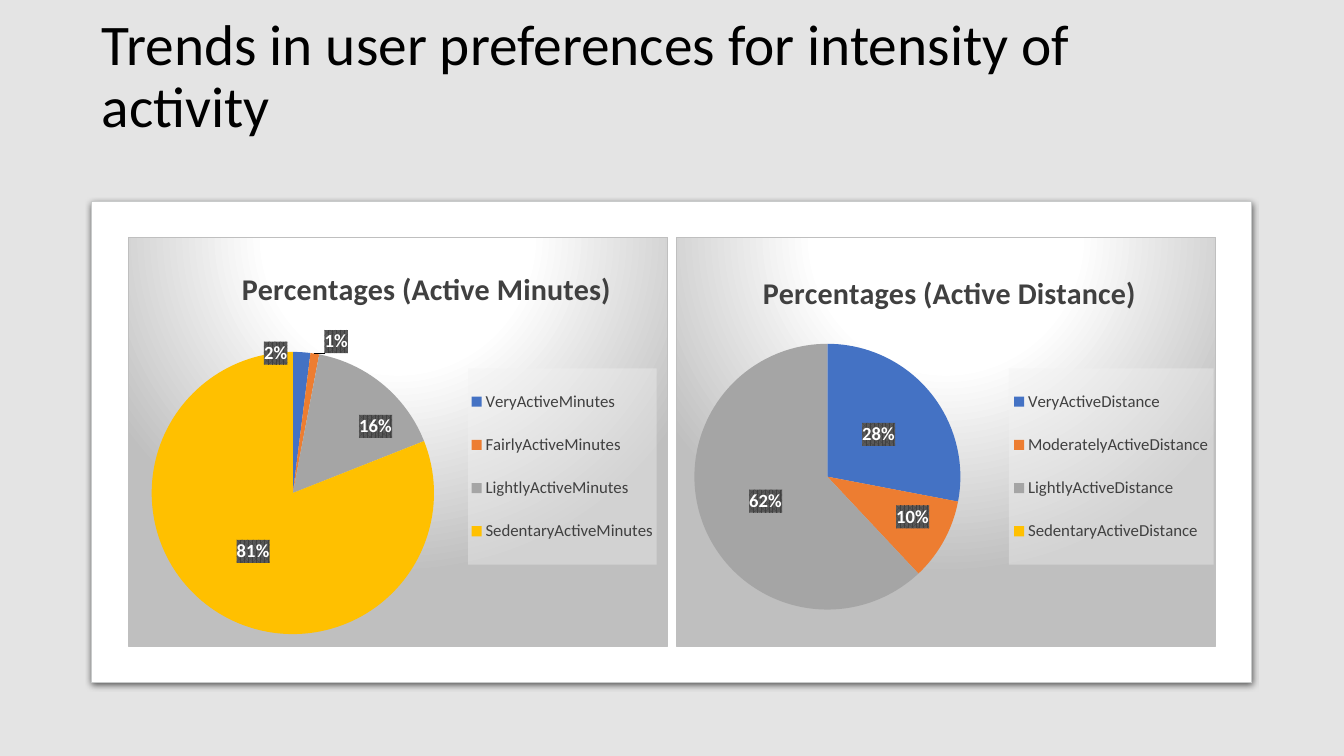
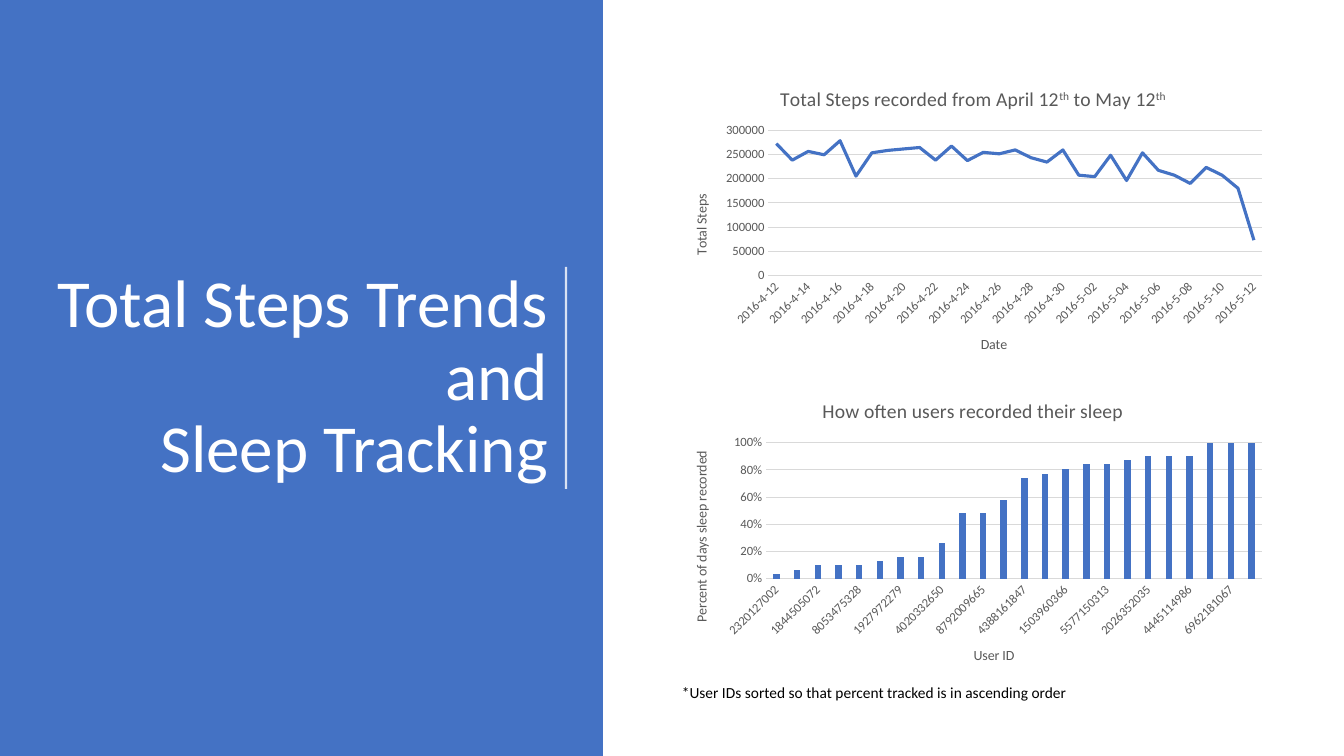
import copy

import pptx
import pptx.chart.data
import pptx.dml.color
import pptx.enum.chart
import pptx.enum.shapes
import pptx.enum.text
import pptx.oxml
import pptx.oxml.ns
import pptx.util

UNIT = 914400 / 100.8
CHARTS = pptx.enum.chart.XL_CHART_TYPE
SHAPES = pptx.enum.shapes.MSO_SHAPE
MIDDLE = pptx.enum.text.MSO_ANCHOR.MIDDLE
RIGHT = pptx.enum.text.PP_ALIGN.RIGHT
GROW = pptx.enum.text.MSO_AUTO_SIZE.SHAPE_TO_FIT_TEXT
NONE = pptx.enum.chart.XL_TICK_MARK.NONE


class Theme:
    """Colours, fonts and type sizes of the deck."""
    face = "Calibri"
    black, white = "000000", "FFFFFF"
    blue, wash, edge = "4472C4", "D9D9D9", "C8CACA"
    rim, dark, gray = "BFBFBF", "404040", "595959"
    hues = (blue, "ED7D31", "A5A5A5", "FFC000")
    head, cover, note = 41, 48, 11
    base, tick, label, key = 10, 9, 13.3, 12
    pie, plot = 21.6, 14


def px(size):
    """Turn picture pixels into EMU."""
    return pptx.util.Emu(round(size * UNIT))


def put(item, values):
    """Set each named value on an item."""
    for name, value in values.items():
        setattr(item, name, value)


def rgb(code):
    """Make a colour from its hex code."""
    return pptx.dml.color.RGBColor.from_string(code)


def paint(fill, code):
    """Fill with one solid colour."""
    fill.solid()
    fill.fore_color.rgb = rgb(code)


def ink(font, size, code, bold=False):
    """Style a font in the deck face."""
    put(font, {"name": Theme.face, "size": pptx.util.Pt(size), "bold": bold})
    font.color.rgb = rgb(code)


def stroke(line, code, width):
    """Give a line its colour and width."""
    line.color.rgb = rgb(code)
    line.width = pptx.util.Pt(width)


def xml(tag, body):
    """Build an element in the chart and drawing namespaces."""
    names = pptx.oxml.ns.nsdecls("a", "c")
    return pptx.oxml.parse_xml(f"<{tag} {names}>{body}</{tag}>")


def find(item, trail):
    """Find a node by a trail of prefixed tags."""
    steps = [pptx.oxml.ns.qn(step) for step in trail.split("/")]
    return item.find(".//" + "/".join(steps))


def fade(item, share):
    """Make the solid colour of a shape partly clear."""
    node = find(item._element, "a:solidFill")[0]
    node.append(pptx.oxml.parse_xml(
        f'<a:alpha {pptx.oxml.ns.nsdecls("a")} val="{share * 1000}"/>'))


def block(slide, kind, area, code):
    """Add a flat shape with no line or shadow."""
    shape = slide.shapes.add_shape(kind, *map(px, area))
    shape.shadow.inherit = False
    paint(shape.fill, code)
    shape.line.fill.background()
    return shape


def card(slide, area):
    """Add the white card with its soft shadow."""
    shape = block(slide, SHAPES.ROUNDED_RECTANGLE, area, Theme.white)
    shape.adjustments[0] = 0
    stroke(shape.line, Theme.edge, 0.75)
    shade = xml("a:effectLst", '<a:outerShdw blurRad="57150" dist="19050" dir="5400000" '
                f'algn="ctr" rotWithShape="0"><a:srgbClr val="{Theme.black}">'
                '<a:alpha val="63000"/></a:srgbClr></a:outerShdw>')
    find(shape._element, "a:effectLst").append(shade[0])


def rule(slide, start, end):
    """Add the thin upright line beside the cover title."""
    line = slide.shapes.add_connector(
        pptx.enum.shapes.MSO_CONNECTOR.STRAIGHT, *map(px, start + end))
    stroke(line.line, Theme.white, 1.5)
    fade(line, 80)
    find(line._element, "p:spPr").append(xml("a:effectLst", ""))


def words(slide, area, text, size, code, frame=None, para=None):
    """Add a wrapped text box of one paragraph."""
    box = slide.shapes.add_textbox(*map(px, area)).text_frame
    put(box, {"word_wrap": True, **(frame or {})})
    line = box.paragraphs[0]
    line.text = text
    put(line, para or {})
    for run in line.runs:
        ink(run.font, size, code)


def heading(slide, area, text, size, code, **para):
    """Add a slide title."""
    words(slide, area, text, size, code, {"vertical_anchor": MIDDLE},
          {"line_spacing": 0.9, **para})


def caption(frame, text, size, code, bold=False):
    """Write chart text; parts between carets are raised."""
    line = frame.paragraphs[0]
    for spot, part in enumerate(text.split("^")):
        if part:
            run = line.add_run()
            run.text = part
            ink(run.font, size, code, bold)
            if spot % 2:
                run.font._element.set("baseline", "30000")


def place(node, spot, **sizes):
    """Set the manual layout of a chart part, at a child index."""
    for old in node.findall(pptx.oxml.ns.qn("c:layout")):
        node.remove(old)
    modes = [f'<c:{name}Mode val="edge"/>' for name in sizes.pop("edge", "")]
    marks = [f'<c:{name} val="{size}"/>' for name, size in sizes.items()]
    inner = '<c:layoutTarget val="inner"/>' if sizes.pop("inner", 0) else ""
    marks = [mark for mark in marks if "inner" not in mark]
    node.insert(spot, xml("c:layout", "<c:manualLayout>" + inner
                          + "".join(modes + marks) + "</c:manualLayout>"))


def graph(slide, kind, area, title, cats, values, size, code, bold=False):
    """Add a titled chart with one series."""
    data = pptx.chart.data.CategoryChartData()
    data.categories = cats
    data.add_series("Series 1", values)
    chart = slide.shapes.add_chart(kind, *map(px, area), data).chart
    ink(chart.font, Theme.base, Theme.black)
    put(chart, {"has_legend": False, "has_title": True})
    caption(chart.chart_title.text_frame, title, size, code, bold)
    chart.chart_title.include_in_layout = False
    return chart, chart.plots[0].series[0]


def tags(series, moves):
    """Add percent labels; moves maps a point to a shift, or None to drop it."""
    labels = series.data_labels
    ink(labels.font, Theme.label, Theme.white, True)
    put(labels, {"show_percentage": True, "show_value": False,
                 "number_format": "0%", "number_format_is_linked": False,
                 "position": pptx.enum.chart.XL_LABEL_POSITION.CENTER})
    group = labels._element
    find(group, "c:txPr").addprevious(xml(
        "c:spPr", f'<a:pattFill prst="pct75"><a:fgClr><a:srgbClr val="{Theme.dark}"/>'
        f'</a:fgClr><a:bgClr><a:srgbClr val="{Theme.gray}"/></a:bgClr></a:pattFill>'))
    parts = [part for part in group if not part.tag.endswith("showLeaderLines")]
    for spot, (point, move) in enumerate(moves.items()):
        label = xml("c:dLbl", f'<c:idx val="{point}"/>')
        if move:
            label.extend(copy.deepcopy(parts))
            place(label, 1, x=move[0], y=move[1])
        else:
            label.append(xml("c:delete", ""))
            label[1].set("val", "1")
        group.insert(spot, label)


def pie(slide, left, title, cats, values, head, disc, key, moves):
    """Add a pie chart on a glowing panel."""
    area = (left, 237, 540, 410)
    chart, series = graph(slide, CHARTS.PIE, area, title, cats, values,
                          Theme.pie, Theme.dark, True)
    for spot, hue in enumerate(Theme.hues):
        paint(series.points[spot].format.fill, hue)
    tags(series, moves)
    chart.has_legend = True
    legend = chart.legend
    put(legend, {"position": pptx.enum.chart.XL_LEGEND_POSITION.RIGHT,
                 "include_in_layout": False})
    ink(legend.font, Theme.key, Theme.dark)
    root = chart.element
    place(find(root, "c:title"), 1, edge="xy", x=head[0], y=head[1])
    place(find(root, "c:plotArea"), 0, inner=1, edge="xy",
          **dict(zip("xywh", disc)))
    place(find(root, "c:legend"), 1, edge="xy", **dict(zip("xywh", key)))
    find(root, "c:legend/c:overlay").addnext(xml(
        "c:spPr", '<a:solidFill><a:srgbClr val="F2F2F2"><a:alpha val="39000"/>'
        '</a:srgbClr></a:solidFill>'))
    stops = "".join(f'<a:gs pos="{pos}000"><a:srgbClr val="{code}"/></a:gs>' for pos, code in
                    ((0, Theme.white), (39, Theme.white), (100, Theme.rim)))
    find(root, "c:chart").addnext(xml(
        "c:spPr", f'<a:gradFill><a:gsLst>{stops}</a:gsLst><a:path path="circle">'
        '<a:fillToRect l="50000" t="-80000" r="50000" b="180000"/></a:path></a:gradFill>'
        f'<a:ln w="9525"><a:solidFill><a:srgbClr val="{Theme.rim}"/></a:solidFill></a:ln>'))


def trend(slide, kind, top, title, names, cats, values, form):
    """Add a chart with two named axes."""
    chart, series = graph(slide, kind, (672, top, 602, 303), title, cats, values,
                          Theme.plot, Theme.gray)
    for axis, name in zip((chart.category_axis, chart.value_axis), names):
        put(axis, {"has_title": True, "major_tick_mark": NONE, "minor_tick_mark": NONE})
        caption(axis.axis_title.text_frame, name, Theme.base, Theme.gray)
        ink(axis.tick_labels.font, Theme.tick, Theme.gray)
    stroke(chart.category_axis.format.line, Theme.wash, 0.75)
    chart.value_axis.format.line.fill.background()
    stroke(chart.value_axis.major_gridlines.format.line, Theme.wash, 0.75)
    put(chart.value_axis.tick_labels,
        {"number_format": form, "number_format_is_linked": False})
    find(chart.element, "c:catAx/c:txPr/a:bodyPr").set("rot", "-2700000")
    turn = find(chart.element, "c:valAx/c:title/c:tx/c:rich/a:bodyPr")
    put_xml = {"rot": "-5400000", "vert": "horz"}
    turn.attrib.update(put_xml)
    chart.plots[0].vary_by_categories = False
    return chart, series


def usage(slide):
    """Build the slide on intensity of activity."""
    fade(block(slide, SHAPES.RECTANGLE, (0, 0, 1344, 756), Theme.wash), 70)
    card(slide, (92, 202, 1160, 481))
    kinds = ("Very", "Fairly", "Lightly", "Sedentary")
    pie(slide, 128, "Percentages (Active Minutes)",
        [f"{kind}ActiveMinutes" for kind in kinds], (2, 1, 16, 81),
        (0.2, 0.06), (0.04, 0.28, 0.53, 0.69), (0.63, 0.32, 0.35, 0.48),
        {0: (-0.04, -0.17), 1: (0.06, -0.2), 2: (0.07, -0.03)})
    kinds = ("Very", "Moderately", "Lightly", "Sedentary")
    pie(slide, 676, "Percentages (Active Distance)",
        [f"{kind}ActiveDistance" for kind in kinds], (28, 10, 62, 0),
        (0.15, 0.07), (0.03, 0.26, 0.5, 0.65), (0.62, 0.32, 0.38, 0.48),
        {1: (0.05, 0.02), 3: None})
    heading(slide, (92, 5, 1160, 146),
            "Trends in user preferences for intensity of activity",
            Theme.head, Theme.black)


def habits(slide):
    """Build the slide on steps and sleep."""
    block(slide, SHAPES.RECTANGLE, (0, 0, 603, 756), Theme.blue)
    rule(slide, (566, 267), (566, 489))
    days = [f"2016-4-{day}" for day in range(12, 31)]
    days += [f"2016-5-{day:02}" for day in range(1, 13)]
    steps = (272, 238, 256, 249, 278, 205, 253, 258, 261, 264, 238, 267, 237, 254, 251, 259,
             243, 234, 259, 207, 204, 248, 196, 253, 217, 207, 190, 223, 207, 180, 73)
    chart, series = trend(slide, CHARTS.LINE, 71,
                          "Total Steps recorded from April 12^th^ to May 12^th^",
                          ("Date", "Total Steps"), days,
                          [step * 1000 for step in steps], "General")
    series.smooth = False
    stroke(series.format.line, Theme.blue, 2.25)
    users = ("2320127002 7007744171 1844505072 6775888955 8053475328 1644430081 "
             "1927972279 4558609924 4020332650 2347167796 8792009665 6117666160 "
             "4388161847 7086361926 1503960366 4319703577 5577150313 4702921684 "
             "2026352035 3977333714 4445114986 5553957443 6962181067 8378563200").split()
    shares = (3, 6, 10, 10, 10, 13, 16, 16, 26, 48, 48, 58,
              74, 77, 81, 84, 84, 87, 90, 90, 90, 100, 100, 100)
    chart, series = trend(slide, CHARTS.COLUMN_CLUSTERED, 382,
                          "How often users recorded their sleep",
                          ("User ID", "Percent of days sleep recorded"), users,
                          [share / 100 for share in shares], "0%")
    chart.value_axis.maximum_scale = 1
    put(chart.plots[0], {"gap_width": 219, "overlap": -27})
    paint(series.format.fill, Theme.blue)
    heading(slide, (21, 71, 537, 615), "Total Steps Trends\vand\vSleep Tracking",
            Theme.cover, Theme.white, alignment=RIGHT)
    words(slide, (672, 678, 661, 29),
          "*User IDs sorted so that percent tracked is in ascending order",
          Theme.note, Theme.black, {"auto_size": GROW})


def main():
    """Build and save the deck."""
    deck = pptx.Presentation()
    put(deck, {"slide_width": px(1344), "slide_height": px(756)})
    for build in (usage, habits):
        build(deck.slides.add_slide(deck.slide_layouts[6]))
    deck.save("out.pptx")


main()
